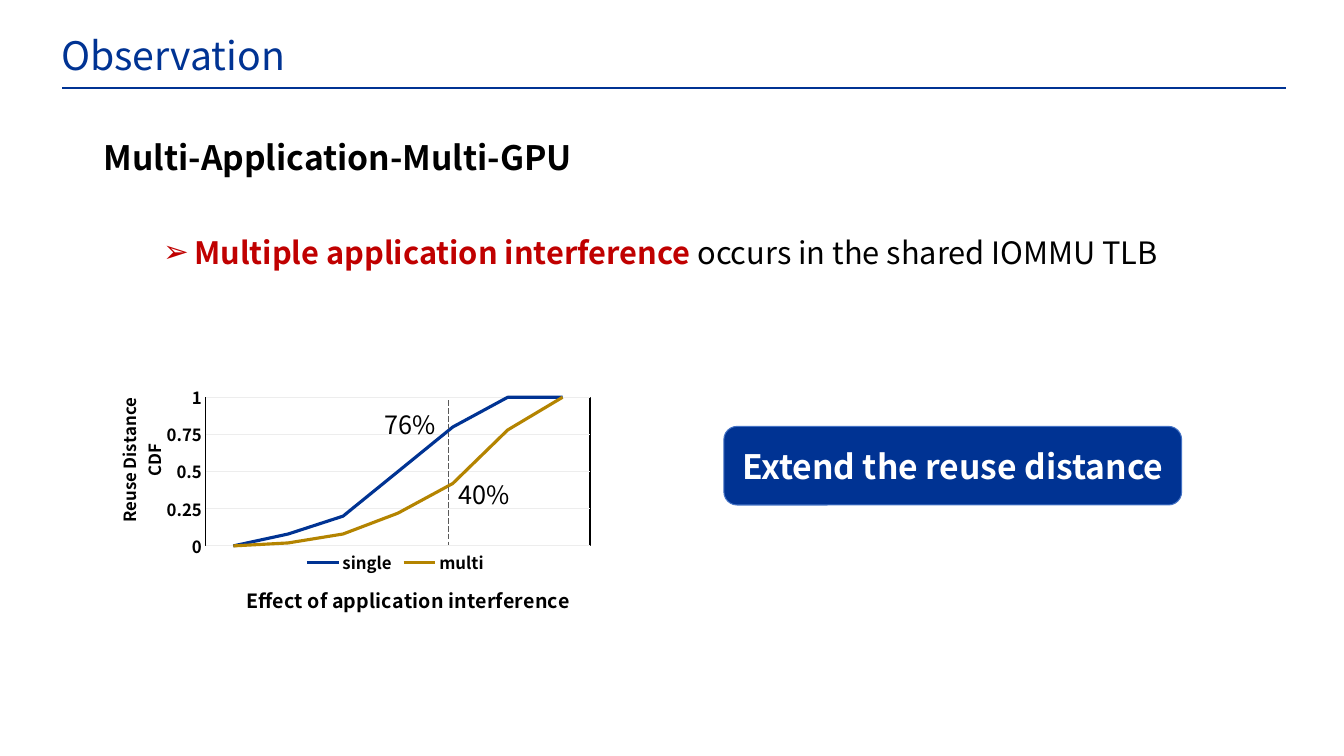
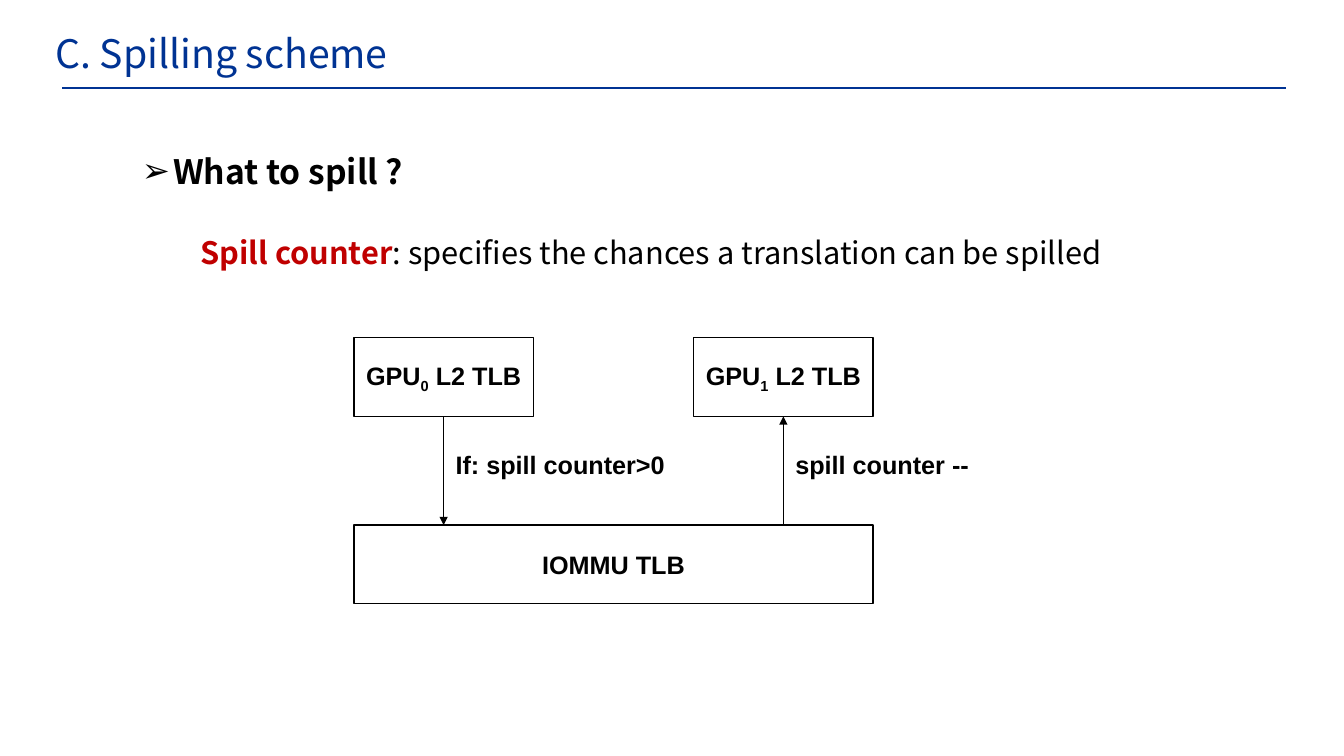
from lxml import etree
from pptx import Presentation
from pptx.chart import data as cd
from pptx.dml.color import RGBColor
from pptx.enum import chart as ch, dml, shapes as sh, text as tx
from pptx.oxml import ns
from pptx.util import Inches, Pt

BLUE = RGBColor(0x00, 0x33, 0x93)
GOLD = RGBColor(0xB4, 0x84, 0x00)
RED = RGBColor(0xC0, 0x00, 0x00)
GREY = RGBColor(0x59, 0x59, 0x59)
EDGE = RGBColor(0x44, 0x72, 0xC4)
GRID = RGBColor(0xED, 0xED, 0xED)
BLACK = RGBColor(0, 0, 0)
WHITE = RGBColor(0xFF, 0xFF, 0xFF)
SANS = "Noto Sans CJK SC"
ARIAL = "Arial"


def style(font, size, color=BLACK, bold=False, face=SANS):
    font.size = Pt(size)
    font.name = face
    font.bold = bold
    font.color.rgb = color


def write(para, parts, size, face=SANS):
    for words, color, bold, base in parts:
        run = para.add_run()
        run.text = words
        style(run.font, size, color, bold, face)
        if base:
            run.font._element.set("baseline", str(base * 1000))


def label(slide, box, parts, size, face=SANS, bullet=False):
    frame = slide.shapes.add_textbox(*map(Inches, box)).text_frame
    frame.word_wrap = True
    para = frame.paragraphs[0]
    write(para, parts, size, face)
    if bullet:
        props = para._p.get_or_add_pPr()
        props.set("marL", str(Inches(0.31)))
        props.set("indent", str(-Inches(0.31)))
        etree.SubElement(props, ns.qn("a:buFont")).set("typeface", ARIAL)
        etree.SubElement(props, ns.qn("a:buChar")).set("char", "➢")
        para.line_spacing = Pt(30)


def block(slide, kind, box, parts, size, fill, edge, width, face=SANS):
    shape = slide.shapes.add_shape(kind, *map(Inches, box))
    shape.shadow.inherit = False
    shape.fill.solid()
    shape.fill.fore_color.rgb = fill
    shape.line.color.rgb = edge
    shape.line.width = Pt(width)
    frame = shape.text_frame
    frame.margin_left = frame.margin_right = 0
    frame.vertical_anchor = tx.MSO_ANCHOR.MIDDLE
    para = frame.paragraphs[0]
    para.alignment = tx.PP_ALIGN.CENTER
    write(para, parts, size, face)


def rule(slide, start, end, color, width, dash=None, arrow=False):
    line = slide.shapes.add_connector(
        sh.MSO_CONNECTOR.STRAIGHT, *map(Inches, start + end))
    line.line.color.rgb = color
    line.line.width = Pt(width)
    if dash:
        line.line.dash_style = dash
    if arrow:
        tail = etree.SubElement(line.line._get_or_add_ln(), ns.qn("a:tailEnd"))
        tail.set("type", "triangle")
    etree.SubElement(line._element.spPr, ns.qn("a:effectLst"))


def header(slide, title, left, top):
    label(slide, (left, top, 9, 0.6), [(title, BLUE, False, 0)], 28)
    rule(slide, (0.62, 0.87), (12.75, 0.87), BLUE, 1.5)


def layout(node, index, inner=False, **spots):
    for old in node.findall(ns.qn("c:layout")):
        node.remove(old)
    outer = etree.Element(ns.qn("c:layout"))
    manual = etree.SubElement(outer, ns.qn("c:manualLayout"))
    items = [("layoutTarget", "inner")] if inner else []
    items += [("xMode", "edge"), ("yMode", "edge")] + list(spots.items())
    for name, value in items:
        etree.SubElement(manual, ns.qn("c:" + name)).set("val", str(value))
    node.insert(index, outer)


def caption(title, words, size, x, y):
    frame = title.text_frame
    frame.text = words
    for para in frame.paragraphs:
        for run in para.runs:
            style(run.font, size, BLACK, True)
    layout(title._element, 1, x=x, y=y)
    return frame


def frame_plot(plot):
    props = etree.SubElement(plot, ns.qn("c:spPr"))
    etree.SubElement(props, ns.qn("a:noFill"))
    line = etree.SubElement(props, ns.qn("a:ln"))
    line.set("w", str(Pt(0.75)))
    fill = etree.SubElement(line, ns.qn("a:solidFill"))
    etree.SubElement(fill, ns.qn("a:srgbClr")).set("val", str(BLACK))


def reuse_chart(slide, box):
    data = cd.CategoryChartData()
    data.categories = [str(n) for n in range(1, 8)]
    data.add_series("single", (0, 0.08, 0.2, 0.5, 0.8, 1, 1))
    data.add_series("multi", (0, 0.02, 0.08, 0.22, 0.42, 0.78, 1))
    chart = slide.shapes.add_chart(
        ch.XL_CHART_TYPE.LINE, *map(Inches, box), data).chart
    style(chart.font, 10, BLACK, True)

    chart.has_title = True
    caption(chart.chart_title, "Effect of application interference",
            14, 0.26, 0.78)
    chart.plots[0].vary_by_categories = False
    for series, color in zip(chart.plots[0].series, (BLUE, GOLD)):
        series.smooth = False
        series.format.line.color.rgb = color
        series.format.line.width = Pt(2.25)

    chart.category_axis.visible = False
    axis = chart.value_axis
    axis.minimum_scale, axis.maximum_scale, axis.major_unit = 0, 1, 0.25
    axis.major_tick_mark = ch.XL_TICK_MARK.NONE
    axis.format.line.fill.background()
    axis.major_gridlines.format.line.color.rgb = GRID
    axis.major_gridlines.format.line.width = Pt(0.75)
    style(axis.tick_labels.font, 12, BLACK, True)
    side = caption(axis.axis_title, "Reuse Distance\nCDF", 12, 0.01, 0.17)
    turn = side._txBody.find(ns.qn("a:bodyPr"))
    turn.set("rot", "-5400000")
    turn.set("vert", "horz")

    chart.has_legend = True
    chart.legend.position = ch.XL_LEGEND_POSITION.BOTTOM
    chart.legend.include_in_layout = False
    style(chart.legend.font, 12, BLACK, True)
    layout(chart.legend._element, 1, x=0.37, y=0.68, w=0.36, h=0.09)
    plot = chart._chartSpace.chart.plotArea
    layout(plot, 0, True, x=0.19, y=0.18, w=0.73, h=0.49)
    frame_plot(plot)


def chart_panel(slide, left, top):
    reuse_chart(slide, (left, top, 5.22, 3.01))
    rule(slide, (left + 3.4, top + 0.57), (left + 3.4, top + 2.01),
         GREY, 0.5, dml.MSO_LINE.LONG_DASH)
    for words, x, y in (("76%", 2.67, 0.61), ("40%", 3.4, 1.31)):
        label(slide, (left + x, top + y, 0.9, 0.4),
              [(words, BLACK, False, 0)], 18)


def spill_flow(slide, left, top):
    wide, small, high, drop = 5.15, 1.78, 0.78, 1.86

    def cell(x, y, width, parts):
        block(slide, sh.MSO_SHAPE.RECTANGLE, (x, y, width, high), parts,
              18, WHITE, BLACK, 1, ARIAL)

    cell(left, top + drop, wide, [("IOMMU TLB", BLACK, True, 0)])
    notes = ("If: spill counter>0", "spill counter --")
    for n, note in enumerate(notes):
        x = left + n * (wide - small)
        cell(x, top, small, [("GPU", BLACK, True, 0),
                             (str(n), BLACK, True, -25),
                             (" L2 TLB", BLACK, True, 0)])
        mid = x + small / 2
        ends = [(mid, top + high), (mid, top + drop)]
        start, end = ends[::-1] if n else ends
        rule(slide, start, end, BLACK, 1, arrow=True)
        label(slide, (mid + 0.02, top + 1.06, 2.4, 0.4),
              [(note, BLACK, True, 0)], 18, ARIAL)


def observe(slide):
    header(slide, "Observation", 0.51, 0.26)
    label(slide, (0.93, 1.31, 7, 0.6),
          [("Multi-Application-Multi-GPU", BLACK, True, 0)], 24)
    label(slide, (1.52, 2.22, 11, 0.51),
          [("Multiple application interference ", RED, True, 0),
           ("occurs in the shared IOMMU TLB", BLACK, False, 0)],
          22, bullet=True)
    chart_panel(slide, 1.05, 3.4)
    block(slide, sh.MSO_SHAPE.ROUNDED_RECTANGLE, (7.18, 4.23, 4.54, 0.78),
          [("Extend the reuse distance", WHITE, True, 0)],
          24, BLUE, EDGE, 0.75)


def spill(slide):
    header(slide, "C. Spilling scheme", 0.45, 0.24)
    label(slide, (1.31, 1.43, 6, 0.51),
          [("What to spill ?", BLACK, True, 0)], 24, bullet=True)
    label(slide, (1.89, 2.27, 10.61, 0.47),
          [("Spill counter", RED, True, 0),
           (": specifies the chances a translation can be spilled",
            BLACK, False, 0)], 22)
    spill_flow(slide, 3.51, 3.35)


def main():
    deck = Presentation()
    deck.slide_width, deck.slide_height = Inches(13.33), Inches(7.5)
    for build in (observe, spill):
        build(deck.slides.add_slide(deck.slide_layouts[6]))
    deck.save("out.pptx")


if __name__ == "__main__":
    main()
